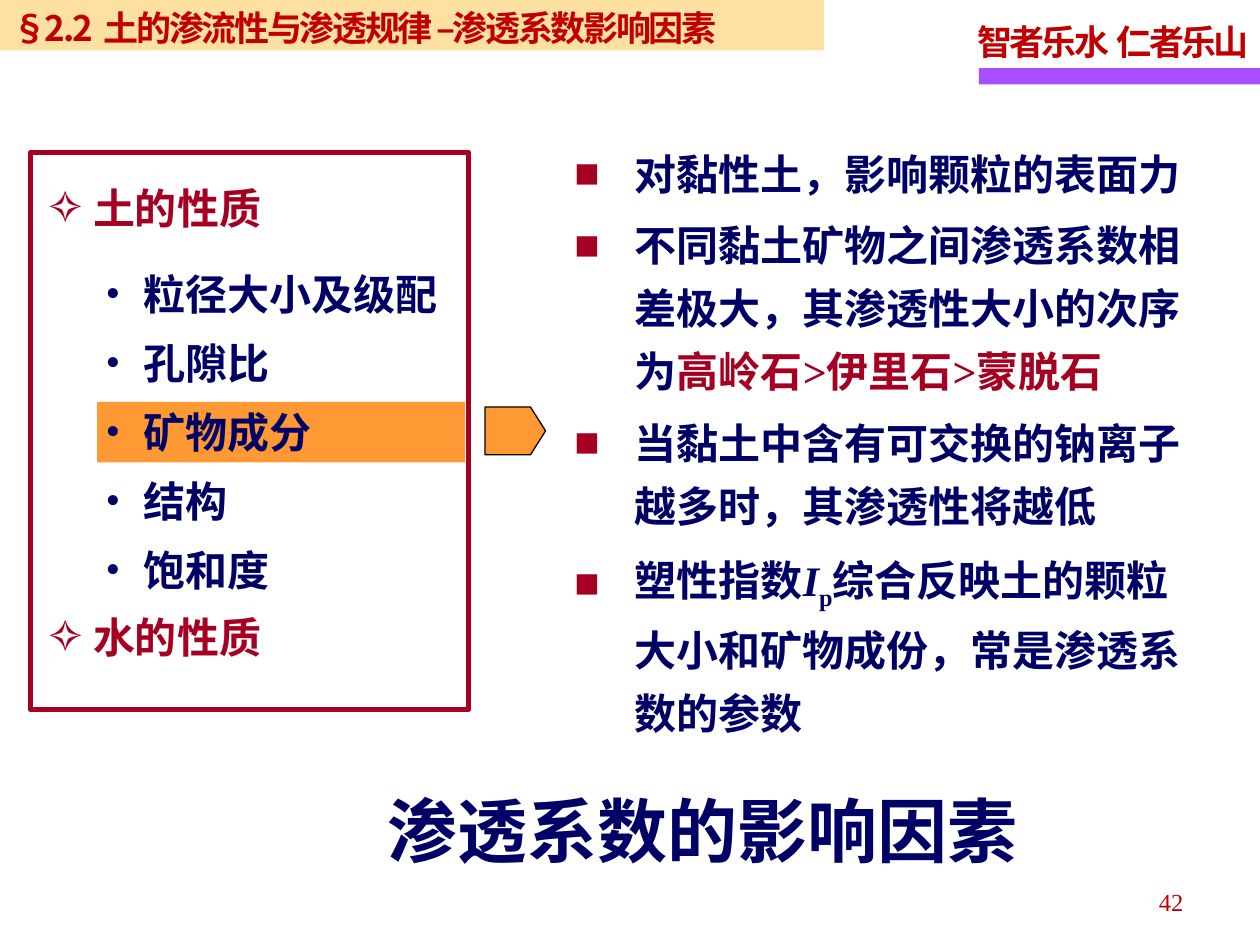
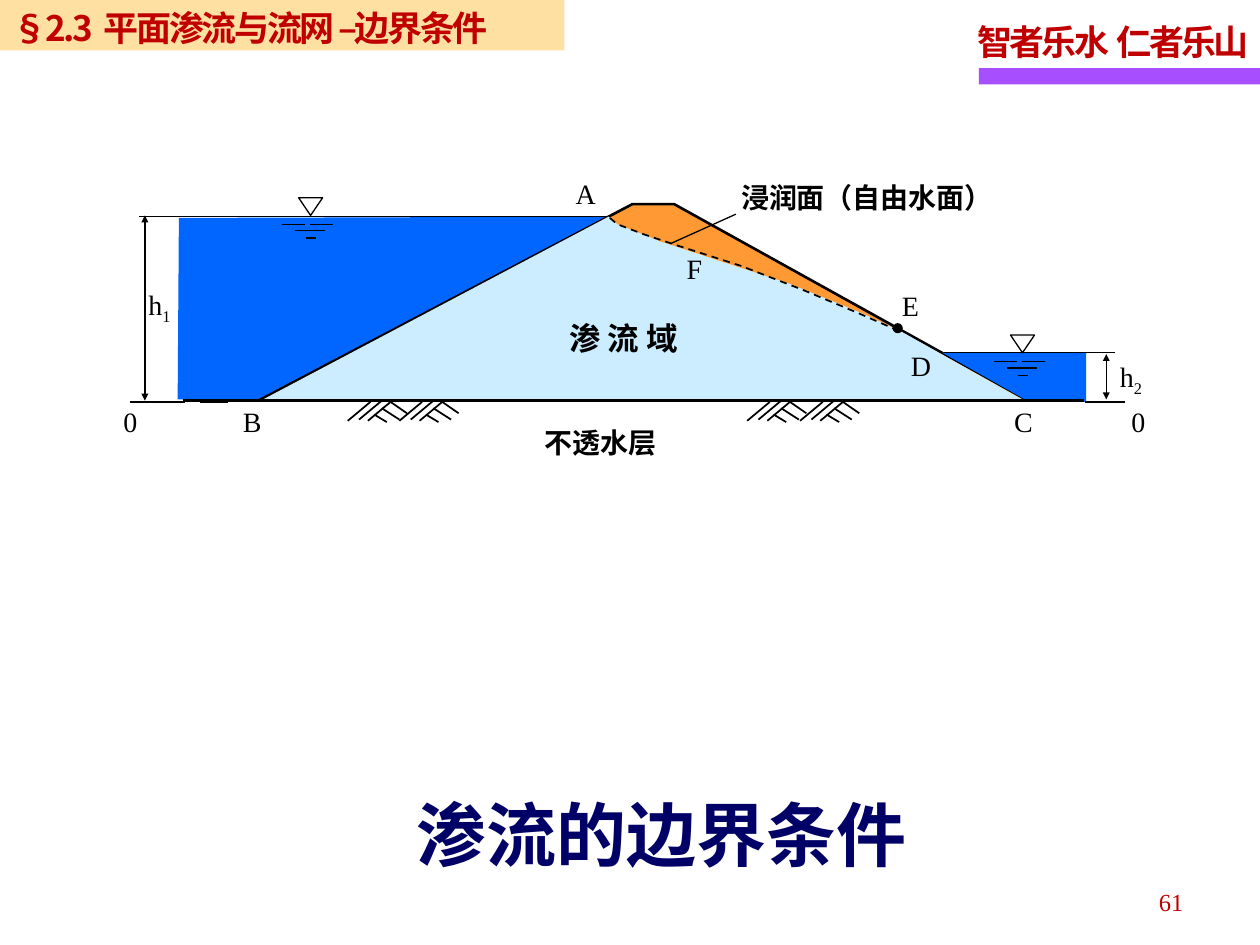
from lxml import etree
from pptx import Presentation
from pptx.dml.color import RGBColor
from pptx.enum import dml, shapes, text
from pptx.oxml import ns
from pptx import util as u

COLORS = {
    "purple": "A74FFF", "red": "C00000", "crimson": "A50021", "navy": "000066",
    "orange": "FF9933", "sand": "FFCC66", "water": "0066FF", "seepage": "CCECFF",
    "black": "000000",
}
SERIF, SANS = "Times New Roman", "Noto Sans CJK SC"
SHAPE = shapes.MSO_SHAPE


def rgb(name):
    """Return the named colour."""
    return RGBColor.from_string(COLORS[name])


def sub(parent, tag, **attributes):
    """Append a DrawingML element."""
    return etree.SubElement(parent, ns.qn("a:" + tag), attributes)


def write(shape, content, size=16, color="black", face=SERIF, bold=False, spacing=None,
          align=None, leading=1.0, before=0, bullet=None, bullet_color=None, indent=0,
          margins=(0.1, 0.05)):
    """Fill a shape with paragraphs, each a string or a list of (text, overrides) runs."""
    frame = shape.text_frame
    frame.word_wrap = True
    frame.vertical_anchor = text.MSO_ANCHOR.TOP
    frame.margin_left = frame.margin_right = u.Inches(margins[0])
    frame.margin_top = frame.margin_bottom = u.Inches(margins[1])
    for number, runs in enumerate([content] if isinstance(content, str) else content):
        paragraph = frame.add_paragraph() if number else frame.paragraphs[0]
        if bullet:
            properties = paragraph._p.get_or_add_pPr()
            properties.set("marL", str(u.Inches(indent)))
            properties.set("indent", str(-u.Inches(indent)))
            sub(sub(properties, "buClr"), "srgbClr", val=COLORS[bullet_color or color])
            sub(properties, "buFont", typeface=SERIF)
            sub(properties, "buChar", char=bullet)
        paragraph.alignment = align or text.PP_ALIGN.LEFT
        paragraph.line_spacing = leading
        paragraph.space_before = u.Pt(before if number else 0)
        paragraph.space_after = u.Pt(0)
        for words, changes in [(runs, {})] if isinstance(runs, str) else runs:
            run = paragraph.add_run()
            run.text = words
            font = run.font
            font.size, font.bold = u.Pt(size), bold
            font.italic = changes.get("italic")
            font.color.rgb = rgb(changes.get("color", color))
            font.name = face
            properties = run._r.get_or_add_rPr()
            sub(properties, "ea", typeface=SANS)
            gap = changes.get("spacing", spacing)
            if gap is not None:
                properties.set("spc", str(round(gap * 100)))
            if "baseline" in changes:
                properties.set("baseline", str(changes["baseline"] * 1000))


def add_text(slide, place, content, **style):
    """Add a text box."""
    box = slide.shapes.add_textbox(*map(u.Inches, place))
    write(box, content, **style)
    return box


def paint(shape, fill=None, line=None, width=0.75):
    """Set fill and outline, and drop the shadow."""
    shape.shadow.inherit = False
    if fill:
        shape.fill.solid()
        shape.fill.fore_color.rgb = rgb(fill)
    else:
        shape.fill.background()
    if line:
        shape.line.color.rgb = rgb(line)
        shape.line.width = u.Pt(width)
    else:
        shape.line.fill.background()
    return shape


def add_shape(slide, kind, place, **look):
    """Add a preset shape."""
    return paint(slide.shapes.add_shape(kind, *map(u.Inches, place)), **look)


def add_outline(slide, points, close=True, **look):
    """Add a freeform through points given in inches."""
    start, *rest = [(u.Inches(x), u.Inches(y)) for x, y in points]
    builder = slide.shapes.build_freeform(*start)
    builder.add_line_segments(rest, close=close)
    return paint(builder.convert_to_shape(), **look)


def add_line(slide, start, end, width=0.75, arrows=False):
    """Add a straight black line, with arrowheads at both ends if asked."""
    line = slide.shapes.add_connector(
        shapes.MSO_CONNECTOR.STRAIGHT, *map(u.Inches, (*start, *end)))
    line.line.color.rgb = rgb("black")
    line.line.width = u.Pt(width)
    if arrows:
        for tag in ("headEnd", "tailEnd"):
            sub(line.line._get_or_add_ln(), tag, type="triangle", w="sm", len="sm")
    sub(line._element.spPr, "effectLst")


def add_frame(deck, section, topic, band_width, number):
    """Add a slide with the motto, section band and page number."""
    slide = deck.slides.add_slide(deck.slide_layouts[6])
    add_shape(slide, SHAPE.RECTANGLE, (7.77, 0.54, 2.23, 0.13), fill="purple")
    add_text(slide, (7.76, 0.06, 2.24, 0.48),
             [[("智者乐水", {}), (" ", {"spacing": 0}), ("仁者乐山", {})]],
             size=20, color="red", bold=True, spacing=-1.7, leading=u.Pt(27.6),
             margins=(0, 0.05))
    band = add_shape(slide, SHAPE.RECTANGLE, (0, 0, band_width, 0.4), fill="sand")
    tint = band._element.spPr.find(ns.qn("a:solidFill"))[0]
    sub(tint, "alpha", val="60000")
    write(band, [[(section, {}), (" ", {"spacing": 1.7}), (topic, {})]],
          size=20, color="red", face=SANS, bold=True, spacing=-1.4, leading=u.Pt(24))
    add_text(slide, (7.16, 6.96, 2.33, 0.4), number, size=14, color="red",
             align=text.PP_ALIGN.RIGHT, leading=1.15)
    return slide


def add_title(slide, place, title):
    """Add the large title at the foot of a slide."""
    add_text(slide, place, title, size=40, color="navy", face=SANS, bold=True,
             leading=u.Pt(48))


def add_water_level(slide, x, y):
    """Add a water level mark whose triangle is centred at x with its top at y."""
    add_shape(slide, SHAPE.FLOWCHART_MERGE, (x - 0.09, y, 0.19, 0.14), line="black")
    for left, right, drop in ((-0.22, -0.04, 0.21), (0, 0.18, 0.21),
                              (-0.12, 0.12, 0.26), (-0.03, 0.05, 0.32)):
        add_line(slide, (x + left, y + drop), (x + right, y + drop))


def add_hatching(slide, x, y):
    """Add one unit of ground hatching."""
    strokes = ((0.18, 0, 0, 0.15), (0.34, 0, 0.16, 0.15), (0.27, -0.01, 0.09, 0.14),
               (0.27, 0.05, 0.41, 0.14), (0.21, 0.1, 0.31, 0.16), (0.34, 0, 0.47, 0.09))
    for x1, y1, x2, y2 in strokes:
        add_line(slide, (x + x1, y + y1), (x + x2, y + y2), width=1)


def build_factors(deck):
    """Build the slide on what affects permeability."""
    slide = add_frame(deck, "§2.2", "土的渗流性与渗透规律 –渗透系数影响因素", 6.54, "42")
    strong = {"size": 24, "bold": True}
    findings = [
        "对黏性土，影响颗粒的表面力",
        [("不同黏土矿物之间渗透系数相差极大，其渗透性大小的次序为", {}),
         ("高岭石>伊里石>蒙脱石", {"color": "crimson"})],
        "当黏土中含有可交换的钠离子越多时，其渗透性将越低",
        [("塑性指数", {}), ("I", {"italic": True}), ("p", {"baseline": -25}),
         ("综合反映土的颗粒大小和矿物成份，常是渗透系数的参数", {})],
    ]
    body = add_text(slide, (4.46, 1.03, 5.23, 4.89), findings, color="navy", bullet="■",
                    bullet_color="crimson", indent=0.48, leading=u.Pt(36), before=4.8,
                    **strong)
    plasticity = body.text_frame.paragraphs[-1]
    plasticity.space_before = u.Pt(10.3)
    add_title(slide, (2.98, 6.2, 5.3, 0.77), "渗透系数的影响因素")
    add_shape(slide, SHAPE.RECTANGLE, (0.77, 3.19, 2.92, 0.48), fill="orange")
    add_shape(slide, SHAPE.RECTANGLE, (0.24, 1.21, 3.48, 4.42), line="crimson", width=3)
    pointer = add_shape(slide, SHAPE.PENTAGON, (3.85, 3.23, 0.48, 0.38),
                        fill="orange", line="black")
    pointer.adjustments[0] = 0.316
    add_text(slide, (0.29, 1.22, 2.04, 4.19), ["土的性质", "水的性质"], color="crimson",
             face=SANS, bullet="✧", indent=0.35, leading=u.Pt(41.8), before=203, **strong)
    add_text(slide, (0.74, 2, 2.96, 2.85),
             ["粒径大小及级配", "孔隙比", "矿物成分", "结构", "饱和度"], color="navy",
             bullet="•", indent=0.3, leading=u.Pt(34.6), before=4.8, **strong)


def build_boundaries(deck):
    """Build the slide on the boundary conditions of seepage through a dam."""
    slide = add_frame(deck, "§2.3", "平面渗流与流网 –边界条件", 4.48, "61")
    add_outline(slide, [(1.42, 1.73), (4.82, 1.72), (2.03, 3.18), (1.41, 3.17)],
                fill="water")
    add_outline(slide, [(2.05, 3.18), (5.02, 1.62), (5.35, 1.62), (8.16, 3.18)],
                close=False, fill="orange", line="black", width=1.5)
    add_outline(slide, [(2.09, 3.17), (4.83, 1.72), (4.9, 1.78), (5.25, 1.92), (5.8, 2.1),
                        (6.26, 2.25), (6.85, 2.49), (7.15, 2.63), (8.13, 3.18)],
                fill="seepage")
    add_outline(slide, [(7.48, 2.8), (8.62, 2.8), (8.62, 3.19), (8.17, 3.19)],
                fill="water")
    add_title(slide, (3.21, 6.23, 4.3, 0.77), "渗流的边界条件")

    add_line(slide, (1.45, 3.18), (8.6, 3.18), width=1.5)
    for start, end in (((4.82, 1.72), (1.1, 1.72)), ((7.49, 2.8), (8.85, 2.8)),
                       ((8.61, 3.19), (8.93, 3.19)), ((1.59, 3.19), (1.81, 3.19)),
                       ((1.03, 3.19), (1.47, 3.19)), ((5.33, 1.93), (5.84, 1.7))):
        add_line(slide, start, end)
    add_line(slide, (1.15, 1.71), (1.15, 3.18), arrows=True)
    add_line(slide, (8.78, 2.81), (8.78, 3.17), arrows=True)
    add_water_level(slide, 2.46, 1.57)
    add_water_level(slide, 8.11, 2.66)
    for x in (2.76, 3.17, 5.93, 6.35):
        add_hatching(slide, x, 3.19)

    phreatic = add_outline(
        slide, [(4.84, 1.73), (4.9, 1.78), (5.11, 1.86), (5.38, 1.95), (5.88, 2.11),
                (6.37, 2.3), (6.8, 2.48), (7.12, 2.62)],
        close=False, line="black", width=1)
    phreatic.line.dash_style = dml.MSO_LINE.DASH
    add_shape(slide, SHAPE.OVAL, (7.09, 2.57, 0.07, 0.07), fill="black", line="black")

    for letter, x, y in (("0", 8.88, 3.12), ("0", 0.88, 3.12), ("B", 1.83, 3.12),
                         ("C", 7.95, 3.12), ("D", 7.13, 2.68), ("E", 7.06, 2.2),
                         ("A", 4.47, 1.31), ("F", 5.35, 1.91)):
        add_text(slide, (x, y, 0.45, 0.44), letter, leading=1.15)
    for index, x, y in (("1", 1.08, 2.19), ("2", 8.79, 2.76)):
        add_text(slide, (x, y, 0.51, 0.44), [[("h", {}), (index, {"baseline": -25})]],
                 leading=1.15)
    for label, place in (("不透水层", (3.97, 3.3, 1.59, 0.37)),
                         ("浸润面（自由水面）", (5.83, 1.35, 2.1, 0.4))):
        add_text(slide, place, label, bold=True, align=text.PP_ALIGN.CENTER,
                 leading=u.Pt(22.1), margins=(0, 0.04))
    add_text(slide, (4.42, 2.44, 1.65, 0.45), "渗 流 域", size=18, bold=True,
             leading=u.Pt(24.8))


def main():
    """Build and save the deck."""
    deck = Presentation()
    deck.slide_width, deck.slide_height = u.Inches(10), u.Inches(7.5)
    build_factors(deck)
    build_boundaries(deck)
    deck.save("out.pptx")


if __name__ == "__main__":
    main()
